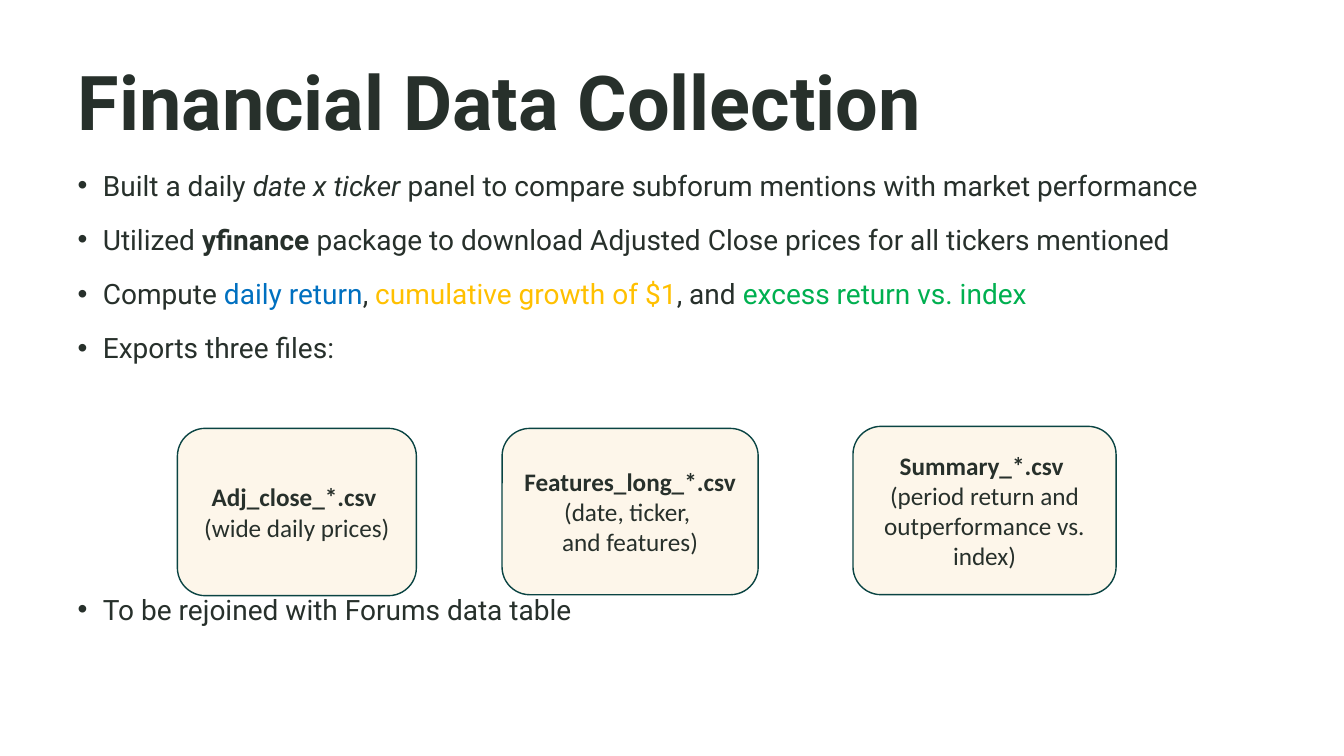
from dataclasses import dataclass

import pptx
import pptx.dml.color
import pptx.enum.shapes
import pptx.enum.text
import pptx.util
from pptx.util import Inches

INK = "27302B"
CREAM = "FDF6EA"
GREEN_EDGE = "0A4443"


@dataclass(frozen=True)
class Span:
    text: str
    color: str = INK
    bold: bool = False
    italic: bool = False


@dataclass(frozen=True)
class Bullet:
    spans: tuple[Span, ...]
    space_before: float = 10


@dataclass(frozen=True)
class ExportFile:
    left: float
    top: float
    width: float
    height: float
    lines: tuple[tuple[Span, ...], ...]


BULLETS = (
    Bullet((
        Span("Built a daily "),
        Span("date x ticker", italic=True),
        Span(" panel to compare subforum mentions with market performance"),
    )),
    Bullet((
        Span("Utilized "),
        Span("yfinance ", bold=True),
        Span("package to download Adjusted Close prices for all tickers mentioned"),
    )),
    Bullet((
        Span("Compute "),
        Span("daily return", "0070C0"),
        Span(", "),
        Span("cumulative growth of $1", "FFC000"),
        Span(", and "),
        Span("excess return vs. index", "00B050"),
    )),
    Bullet((Span("Exports three files:"),)),
    # The wide gap leaves room for the export boxes
    Bullet((Span("To be rejoined with Forums data table"),), space_before=158),
)

EXPORT_FILES = (
    ExportFile(1.76, 4.25, 2.37, 1.66, (
        (Span("Adj_close_*.csv ", bold=True),),
        (Span("(wide daily prices)"),),
    )),
    ExportFile(4.98, 4.25, 2.54, 1.65, (
        (Span("Features_long_*.csv", bold=True), Span(" (date, ticker, ")),
        (Span("and features)"),),
    )),
    ExportFile(8.46, 4.23, 2.61, 1.67, (
        (Span("Summary_*.csv ", bold=True),),
        (Span("(period return and outperformance vs. index)"),),
    )),
)


def rgb(color: str) -> pptx.dml.color.RGBColor:
    return pptx.dml.color.RGBColor.from_string(color)


def write_spans(paragraph, spans: tuple[Span, ...], font: str, size: float) -> None:
    for span in spans:
        run = paragraph.add_run()
        run.text = span.text
        run.font.name = font
        run.font.size = pptx.util.Pt(size)
        run.font.bold = span.bold
        run.font.italic = span.italic
        run.font.color.rgb = rgb(span.color)


def place(holder, left: float, top: float, width: float, height: float) -> None:
    holder.left, holder.top = Inches(left), Inches(top)
    holder.width, holder.height = Inches(width), Inches(height)
    frame = holder.text_frame
    frame.word_wrap = True
    frame.auto_size = pptx.enum.text.MSO_AUTO_SIZE.NONE
    frame.vertical_anchor = pptx.enum.text.MSO_ANCHOR.TOP


def next_paragraph(frame, index: int):
    return frame.add_paragraph() if index else frame.paragraphs[0]


def write_bullets(frame, bullets: tuple[Bullet, ...]) -> None:
    for index, bullet in enumerate(bullets):
        paragraph = next_paragraph(frame, index)
        paragraph.line_spacing = 1.2
        paragraph.space_before = pptx.util.Pt(bullet.space_before)
        properties = paragraph._p.get_or_add_pPr()
        properties.set("marL", str(Inches(0.25)))
        properties.set("indent", str(Inches(-0.25)))
        write_spans(paragraph, bullet.spans, "Roboto", 20)


def draw_export_file(slide, export: ExportFile) -> None:
    box = slide.shapes.add_shape(
        pptx.enum.shapes.MSO_SHAPE.ROUNDED_RECTANGLE,
        Inches(export.left), Inches(export.top),
        Inches(export.width), Inches(export.height),
    )
    box.shadow.inherit = False
    box.fill.solid()
    box.fill.fore_color.rgb = rgb(CREAM)
    box.line.color.rgb = rgb(GREEN_EDGE)
    box.line.width = pptx.util.Pt(1)
    box.text_frame.word_wrap = True
    box.text_frame.vertical_anchor = pptx.enum.text.MSO_ANCHOR.MIDDLE
    for index, spans in enumerate(export.lines):
        paragraph = next_paragraph(box.text_frame, index)
        paragraph.alignment = pptx.enum.text.PP_ALIGN.CENTER
        write_spans(paragraph, spans, "Calibri", 18)


def main() -> None:
    deck = pptx.Presentation()
    deck.slide_width, deck.slide_height = Inches(13.33), Inches(7.5)
    slide = deck.slides.add_slide(deck.slide_layouts[1])

    # Title
    title = slide.shapes.title
    place(title, 0.67, 0.6, 11.75, 1.24)
    heading = title.text_frame.paragraphs[0]
    heading.alignment = pptx.enum.text.PP_ALIGN.LEFT
    heading.line_spacing = 0.9
    write_spans(heading, (Span("Financial Data Collection", bold=True),), "Roboto", 54)

    # Steps of the collection
    steps = slide.placeholders[1]
    place(steps, 0.67, 1.55, 11.61, 5.38)
    write_bullets(steps.text_frame, BULLETS)

    # Exported files
    for export in EXPORT_FILES:
        draw_export_file(slide, export)

    deck.save("out.pptx")


if __name__ == "__main__":
    main()
